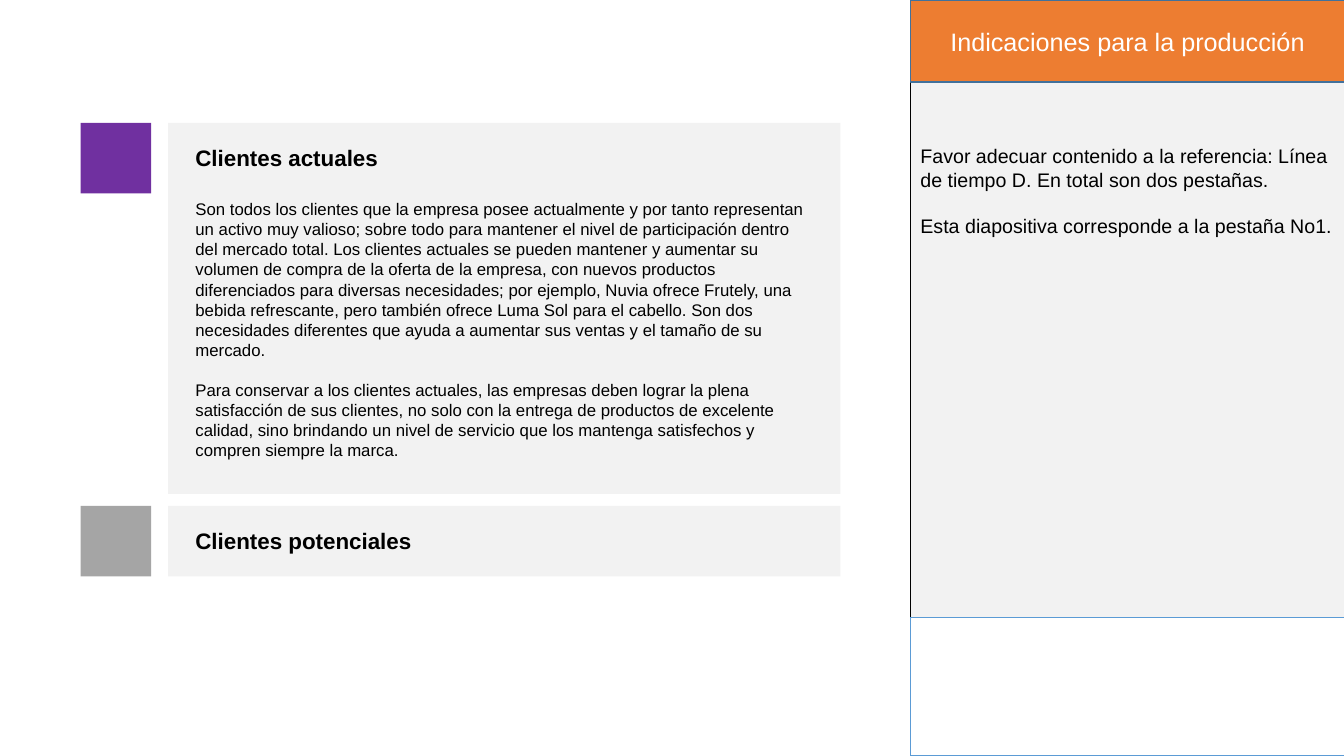
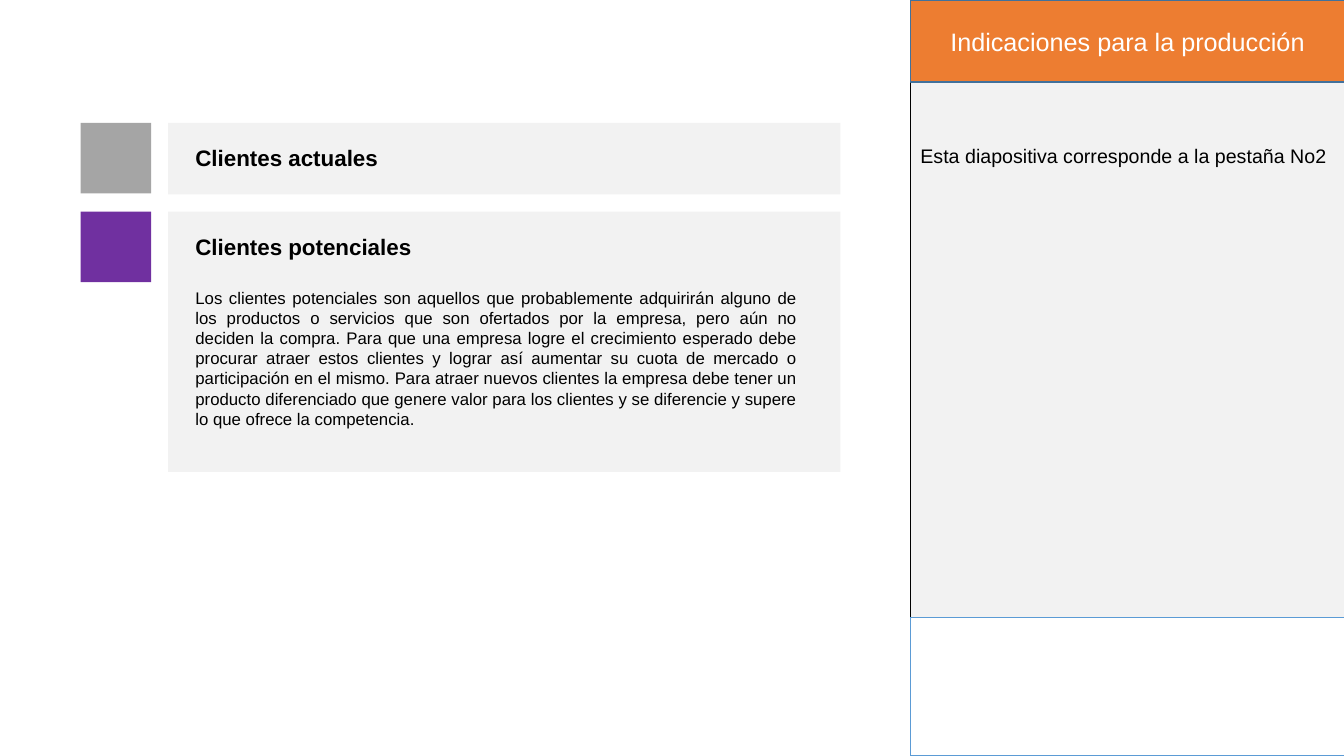
from dataclasses import dataclass

from lxml import etree
from pptx import Presentation
from pptx.dml.color import RGBColor
from pptx.enum.shapes import MSO_SHAPE
from pptx.enum.text import MSO_ANCHOR, MSO_AUTO_SIZE, PP_ALIGN
from pptx.oxml.ns import qn
from pptx.util import Pt

RECTANGLE = MSO_SHAPE.RECTANGLE
TOP, MIDDLE = MSO_ANCHOR.TOP, MSO_ANCHOR.MIDDLE
NO_AUTO_SIZE = MSO_AUTO_SIZE.NONE
LEFT, CENTER, JUSTIFY = PP_ALIGN.LEFT, PP_ALIGN.CENTER, PP_ALIGN.JUSTIFY
TITLE_AND_CONTENT = 1


@dataclass(frozen=True)
class Theme:
    font: str = "Arial"
    text: str = "000000"
    light_text: str = "FFFFFF"
    panel: str = "F2F2F2"
    panel_line: str = "000000"
    band: str = "ED7D31"
    band_line: str = "42719B"
    footer: str = "FFFFFF"
    footer_line: str = "5B9BD5"
    active_tab: str = "7030A0"
    inactive_tab: str = "A5A5A5"
    title_size: int = 18
    heading_size: int = 16
    instruction_size: int = 14
    body_size: int = 12


THEME = Theme()

SLIDE_WIDTH, SLIDE_HEIGHT = 960, 540
SIDEBAR_LEFT, SIDEBAR_WIDTH = 650.2, 310.3
BAND_HEIGHT = 58.5
FOOTER_TOP = 441.2
INSTRUCTION_INSET = 103
TAB_LEFT, TAB_SIZE = 57.6, 50.4
PANEL_LEFT, PANEL_WIDTH = 120.2, 480.2
TEXT_LEFT = 132.5
SECTIONS_TOP = 87.8
HEADING_OFFSET, HEADING_HEIGHT = 11.5, 26.6
BODY_OFFSET = 50.6


@dataclass(frozen=True)
class Section:
    heading: str
    height: float
    paragraphs: tuple = ()
    body_width: float = 450
    alignment: PP_ALIGN = LEFT


@dataclass(frozen=True)
class TabSlide:
    instructions: tuple
    sections: tuple
    gap: float


TAB_SLIDES = (
    TabSlide(
        instructions=(
            "Favor adecuar contenido a la referencia: Línea de tiempo D. "
            "En total son dos pestañas.",
            "Esta diapositiva corresponde a la pestaña No1.",
        ),
        sections=(
            Section("Clientes actuales", 265, (
                "Son todos los clientes que la empresa posee actualmente y por tanto "
                "representan un activo muy valioso; sobre todo para mantener el nivel de "
                "participación dentro del mercado total. Los clientes actuales se pueden "
                "mantener y aumentar su volumen de compra de la oferta de la empresa, con "
                "nuevos productos diferenciados para diversas necesidades; por ejemplo, "
                "Nuvia ofrece Frutely, una bebida refrescante, pero también ofrece Luma "
                "Sol para el cabello. Son dos necesidades diferentes que ayuda a aumentar "
                "sus ventas y el tamaño de su mercado.",
                "Para conservar a los clientes actuales, las empresas deben lograr la plena "
                "satisfacción de sus clientes, no solo con la entrega de productos de "
                "excelente calidad, sino brindando un nivel de servicio que los mantenga "
                "satisfechos y compren siempre la marca.",
            )),
            Section("Clientes potenciales", 50.4),
        ),
        gap=8.6,
    ),
    TabSlide(
        instructions=("Esta diapositiva corresponde a la pestaña No2",),
        sections=(
            Section("Clientes actuales", 51),
            Section("Clientes potenciales", 185.8, (
                "Los clientes potenciales son aquellos que probablemente adquirirán alguno "
                "de los productos o servicios que son ofertados por la empresa, pero aún no "
                "deciden la compra. Para que una empresa logre el crecimiento esperado debe "
                "procurar atraer estos clientes y lograr así aumentar su cuota de mercado o "
                "participación en el mismo. Para atraer nuevos clientes la empresa debe "
                "tener un producto diferenciado que genere valor para los clientes y se "
                "diferencie y supere lo que ofrece la competencia.",
            ), body_width=444.2, alignment=JUSTIFY),
        ),
        gap=12.4,
    ),
)


def paint(shape, fill, line=None):
    shape.fill.solid()
    shape.fill.fore_color.rgb = RGBColor.from_string(fill)
    if line:
        shape.line.color.rgb = RGBColor.from_string(line)
        shape.line.width = Pt(1)
    else:
        shape.line.fill.background()


def place(shape, left, top, width, height):
    shape.left, shape.top = Pt(left), Pt(top)
    shape.width, shape.height = Pt(width), Pt(height)


def add_rectangle(slide, left, top, width, height, fill, line=None):
    shape = slide.shapes.add_shape(RECTANGLE, Pt(left), Pt(top), Pt(width), Pt(height))
    shape.shadow.inherit = False
    paint(shape, fill, line)


def write(text_frame, paragraphs, size, color=THEME.text, bold=False, alignment=LEFT):
    """Fill the frame, with one line of space between paragraphs."""
    text_frame.word_wrap = True
    text_frame.auto_size = NO_AUTO_SIZE
    text_frame.text = "\n".join(paragraphs)
    for index, paragraph in enumerate(text_frame.paragraphs):
        paragraph.alignment = alignment
        paragraph.space_before = Pt(size * 1.15 if index else 0)
        for run in paragraph.runs:
            run.font.name = THEME.font
            run.font.size = Pt(size)
            run.font.bold = bold
            run.font.color.rgb = RGBColor.from_string(color)


def remove_bullets(text_frame):
    for paragraph in text_frame.paragraphs:
        properties = paragraph._p.get_or_add_pPr()
        properties.set("marL", "0")
        properties.set("indent", "0")
        etree.SubElement(properties, qn("a:buNone"))


def add_text(slide, left, top, width, height, paragraphs, size, **style):
    text_box = slide.shapes.add_textbox(Pt(left), Pt(top), Pt(width), Pt(height))
    write(text_box.text_frame, paragraphs, size, **style)


def add_sidebar(slide, instructions):
    panel = slide.placeholders[1]
    place(panel, SIDEBAR_LEFT, 0, SIDEBAR_WIDTH, SLIDE_HEIGHT)
    paint(panel, THEME.panel, THEME.panel_line)
    write(panel.text_frame, instructions, THEME.instruction_size)
    panel.text_frame.margin_top = Pt(INSTRUCTION_INSET)
    panel.text_frame.margin_right = Pt(6)
    panel.text_frame.vertical_anchor = TOP
    remove_bullets(panel.text_frame)

    title = slide.shapes.title
    place(title, SIDEBAR_LEFT, 0, SIDEBAR_WIDTH, BAND_HEIGHT)
    paint(title, THEME.band, THEME.band_line)
    write(title.text_frame, ["Indicaciones para la producción"], THEME.title_size,
          color=THEME.light_text, alignment=CENTER)
    title.text_frame.vertical_anchor = MIDDLE
    panel._element.addnext(title._element)  # the band lies over the panel

    add_rectangle(slide, SIDEBAR_LEFT, FOOTER_TOP, SIDEBAR_WIDTH,
                  SLIDE_HEIGHT - FOOTER_TOP, THEME.footer, THEME.footer_line)


def add_section(slide, section, top):
    """Draw a tab with its panel; a section with body text is the active one."""
    tab_color = THEME.active_tab if section.paragraphs else THEME.inactive_tab
    add_rectangle(slide, TAB_LEFT, top, TAB_SIZE, TAB_SIZE, tab_color)
    add_rectangle(slide, PANEL_LEFT, top, PANEL_WIDTH, section.height, THEME.panel)
    add_text(slide, TEXT_LEFT, top + HEADING_OFFSET, section.body_width, HEADING_HEIGHT,
             [section.heading], THEME.heading_size, bold=True)
    if section.paragraphs:
        add_text(slide, TEXT_LEFT, top + BODY_OFFSET, section.body_width,
                 section.height - BODY_OFFSET, section.paragraphs, THEME.body_size,
                 alignment=section.alignment)


def add_tab_slide(presentation, content):
    slide = presentation.slides.add_slide(presentation.slide_layouts[TITLE_AND_CONTENT])
    add_sidebar(slide, content.instructions)
    top = SECTIONS_TOP
    for section in content.sections:
        add_section(slide, section, top)
        top += section.height + content.gap


def main():
    presentation = Presentation()
    presentation.slide_width = Pt(SLIDE_WIDTH)
    presentation.slide_height = Pt(SLIDE_HEIGHT)
    for content in TAB_SLIDES:
        add_tab_slide(presentation, content)
    presentation.save("out.pptx")


if __name__ == "__main__":
    main()
